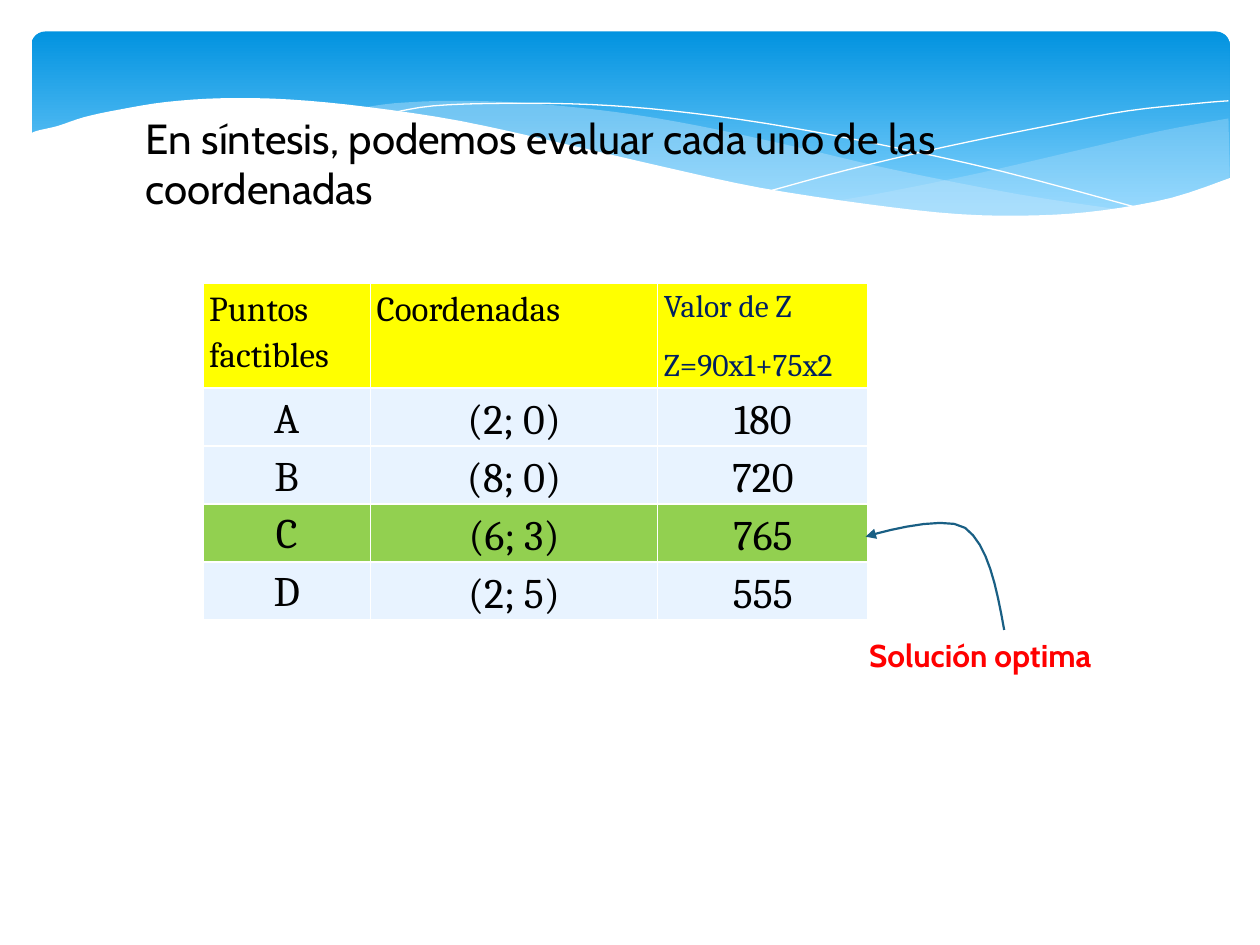
import lxml.etree
import pptx
import pptx.dml.color
import pptx.enum.shapes
import pptx.enum.text
import pptx.oxml
import pptx.oxml.ns
import pptx.util

Inches = pptx.util.Inches
Pt = pptx.util.Pt
qn = pptx.oxml.ns.qn
ALIGN = pptx.enum.text.PP_ALIGN
ANCHOR = pptx.enum.text.MSO_ANCHOR

RIGHT_WAVE_TOP = [(9.5, 0.69), (8.96, 0.79), (8.36, 0.93), (7.54, 1.12),
                  (6.81, 1.27), (6.36, 1.35)]
RIGHT_WAVE_BOTTOM = [(6.36, 1.35), (7.07, 1.43), (7.67, 1.47), (8.19, 1.46),
                     (8.64, 1.41), (9.1, 1.31), (9.51, 1.16)]
LONG_WAVE_TOP = [(8.68, 1.42), (7.82, 1.29), (6.81, 1.09), (6.04, 0.91),
                 (5.3, 0.75), (4.64, 0.64), (3.95, 0.57), (3.36, 0.55),
                 (2.88, 0.57), (2.61, 0.61)]
LONG_WAVE_BOTTOM = [(2.61, 0.61), (3.17, 0.69), (4.02, 0.85), (5.05, 1.1),
                    (5.93, 1.28), (6.7, 1.4), (7.36, 1.46), (7.93, 1.48),
                    (8.42, 1.45), (8.68, 1.42)]
FALLING_LINE = [(2.84, 0.65), (3.19, 0.59), (3.76, 0.57), (4.44, 0.58),
                (5.08, 0.63), (5.83, 0.73), (6.7, 0.89), (7.7, 1.11), (8.82, 1.41)]
RISING_LINE = [(5.88, 1.26), (6.47, 1.1), (7.23, 0.92), (8.11, 0.74),
               (8.7, 0.63), (9.26, 0.57), (9.5, 0.55)]
WHITE_EDGE = [(9.52, 1.16), (9.05, 1.32), (8.5, 1.42), (7.98, 1.46), (7.36, 1.45),
              (6.63, 1.37), (5.78, 1.24), (5.04, 1.08), (4.22, 0.89), (3.4, 0.71),
              (2.67, 0.6), (2.05, 0.54), (1.52, 0.53), (1.07, 0.56), (0.7, 0.62),
              (0.42, 0.68), (0.21, 0.75), (0.04, 0.79), (-0.02, 0.82)]
WHITE_BASE = [(-0.02, 1.99), (9.52, 1.99)]

HEADERS = [["Puntos factibles"], ["Coordenadas"], ["Valor de Z", "Z=90x1+75x2"]]
ROWS = [("A", "(2; 0)", "180"), ("B", "(8; 0)", "720"),
        ("C", "(6; 3)", "765"), ("D", "(2; 5)", "555")]
OPTIMAL = "C"


def color(value):
    return pptx.dml.color.RGBColor.from_string(value)


def bezier(a, b, c, d, steps=8):
    weights = [((1 - t) ** 3, 3 * t * (1 - t) ** 2, 3 * t * t * (1 - t), t ** 3)
               for t in (step / steps for step in range(steps + 1))]
    return [tuple(sum(w * p[axis] for w, p in zip(weight, (a, b, c, d)))
                  for axis in (0, 1)) for weight in weights]


def smooth(points):
    padded = [points[0], *points, points[-1]]
    curve = []
    for before, start, end, after in zip(padded, padded[1:], padded[2:], padded[3:]):
        leave = tuple(s + (e - b) / 6 for b, s, e in zip(before, start, end))
        arrive = tuple(e - (a - s) / 6 for s, e, a in zip(start, end, after))
        curve += bezier(start, leave, arrive, end, 4)
    return curve


def add_outline(page, box, points, fill=None, alpha=None, line=None, width=0):
    left, top = box[:2]
    places = [(Inches(left + x), Inches(top + y)) for x, y in points]
    builder = page.shapes.build_freeform(*places[0], scale=1.0)
    builder.add_line_segments(places[1:], close=fill is not None)
    shape = builder.convert_to_shape()
    shape.shadow.inherit = False
    if fill:
        shape.fill.solid()
        shape.fill.fore_color.rgb = color(fill)
    else:
        shape.fill.background()
    if alpha:
        tint = shape.fill._xPr.find(".//" + qn("a:srgbClr"))
        lxml.etree.SubElement(tint, qn("a:alpha"), val=str(alpha * 1000))
    if line:
        shape.line.color.rgb = color(line)
        shape.line.width = Pt(width)
    else:
        shape.line.fill.background()
    return shape


def write(para, text, size, font, ink="000000", bold=False, align=None,
          spacing=None, after=None):
    span = para.add_run()
    span.text = text
    span.font.size = Pt(size)
    span.font.name = font
    span.font.bold = bold
    span.font.color.rgb = color(ink)
    if align is not None:
        para.alignment = align
    if spacing:
        para.line_spacing = spacing
    if after is not None:
        para.space_after = Pt(after)


def add_text(page, box, text, wrap=True, **style):
    frame = page.shapes.add_textbox(*map(Inches, box)).text_frame
    frame.word_wrap = wrap
    frame.auto_size = pptx.enum.text.MSO_AUTO_SIZE.SHAPE_TO_FIT_TEXT
    write(frame.paragraphs[0], text, **style)


def add_banner(page, box):
    panel = page.shapes.add_shape(
        pptx.enum.shapes.MSO_SHAPE.ROUNDED_RECTANGLE, *map(Inches, box))
    panel.adjustments[0] = 0.07
    panel.shadow.inherit = False
    panel.line.fill.background()
    panel.fill.gradient()
    panel.fill.gradient_angle = 270
    for stop, position, value in zip(panel.fill.gradient_stops, (0, 0.9),
                                     ("0293E0", "83D3FE")):
        stop.position = position
        stop.color.rgb = color(value)
    add_outline(page, box, smooth(RIGHT_WAVE_TOP) + smooth(RIGHT_WAVE_BOTTOM),
                fill="C6E7FC", alpha=29)
    add_outline(page, box, smooth(LONG_WAVE_TOP) + smooth(LONG_WAVE_BOTTOM),
                fill="C6E7FC", alpha=40)
    for points in (FALLING_LINE, RISING_LINE):
        add_outline(page, box, smooth(points), line="FFFFFF")
    add_outline(page, box, smooth(WHITE_EDGE) + WHITE_BASE, fill="FFFFFF")


def set_borders(cell):
    properties = cell._tc.get_or_add_tcPr()
    for index, side in enumerate(("lnL", "lnR", "lnT", "lnB")):
        border = pptx.oxml.parse_xml(
            f'<a:{side} {pptx.oxml.ns.nsdecls("a")} w="12700"><a:solidFill>'
            f'<a:srgbClr val="FFFFFF"/></a:solidFill></a:{side}>')
        properties.insert(index, border)


def fill_cell(cell, lines, fill, anchor=ANCHOR.TOP, **style):
    cell.margin_left = cell.margin_right = Inches(0.05)
    cell.margin_top = cell.margin_bottom = 0
    cell.vertical_anchor = anchor
    cell.fill.solid()
    cell.fill.fore_color.rgb = color(fill)
    set_borders(cell)
    frame = cell.text_frame
    for index, text in enumerate(lines):
        para = frame.add_paragraph() if index else frame.paragraphs[0]
        write(para, text, font="Cambria", spacing=1.15, after=10, **style)


def add_points_table(page, box):
    table = page.shapes.add_table(len(ROWS) + 1, len(HEADERS),
                                  *map(Inches, box)).table
    table.first_row = table.horz_banding = False
    for column, width in zip(table.columns, (1.33, 2.28, 1.67)):
        column.width = Inches(width)
    for row, height in zip(table.rows, [0.82] + [0.46] * len(ROWS)):
        row.height = Inches(height)
    for index, lines in enumerate(HEADERS):
        size, ink = (18, "002060") if index == 2 else (20, "000000")
        fill_cell(table.cell(0, index), lines, "FFFF00", size=size, ink=ink)
    for number, values in enumerate(ROWS, 1):
        fill = "92D050" if values[0] == OPTIMAL else "E8F3FF"
        for index, value in enumerate(values):
            fill_cell(table.cell(number, index), [value], fill,
                      anchor=ANCHOR.MIDDLE if index else ANCHOR.TOP,
                      size=24, align=ALIGN.CENTER)


def add_solution_note(page, box):
    left, top, width, height = box
    points = (bezier((1.17, 0.85), (1.11, 0.51), (1.04, 0.17), (0.86, 0.04))
              + bezier((0.86, 0.04), (0.68, -0.08), (0.07, 0.11), (0.07, 0.11))[1:])
    arrow = add_outline(page, box, points, line="195F84", width=1.25)
    lxml.etree.SubElement(arrow.line._get_or_add_ln(), qn("a:tailEnd"), type="triangle")
    add_text(page, (left, top + height - 0.4, width, 0.4), "Solución optima",
             wrap=False, size=18, font="Cabin", ink="FF0000", bold=True)


def main():
    deck = pptx.Presentation()
    deck.slide_width, deck.slide_height = Inches(10), Inches(7.5)
    page = deck.slides.add_slide(deck.slide_layouts[6])
    add_banner(page, (0.25, 0.25, 9.51, 1.56))
    add_text(page, (1.06, 0.84, 7.64, 0.91),
             "En síntesis, podemos evaluar cada uno de las coordenadas",
             size=24, font="Cabin")
    add_points_table(page, (1.61, 2.25, 5.28, 2.66))
    add_solution_note(page, (6.8, 4.15, 2.08, 1.25))
    deck.save("out.pptx")


if __name__ == "__main__":
    main()
